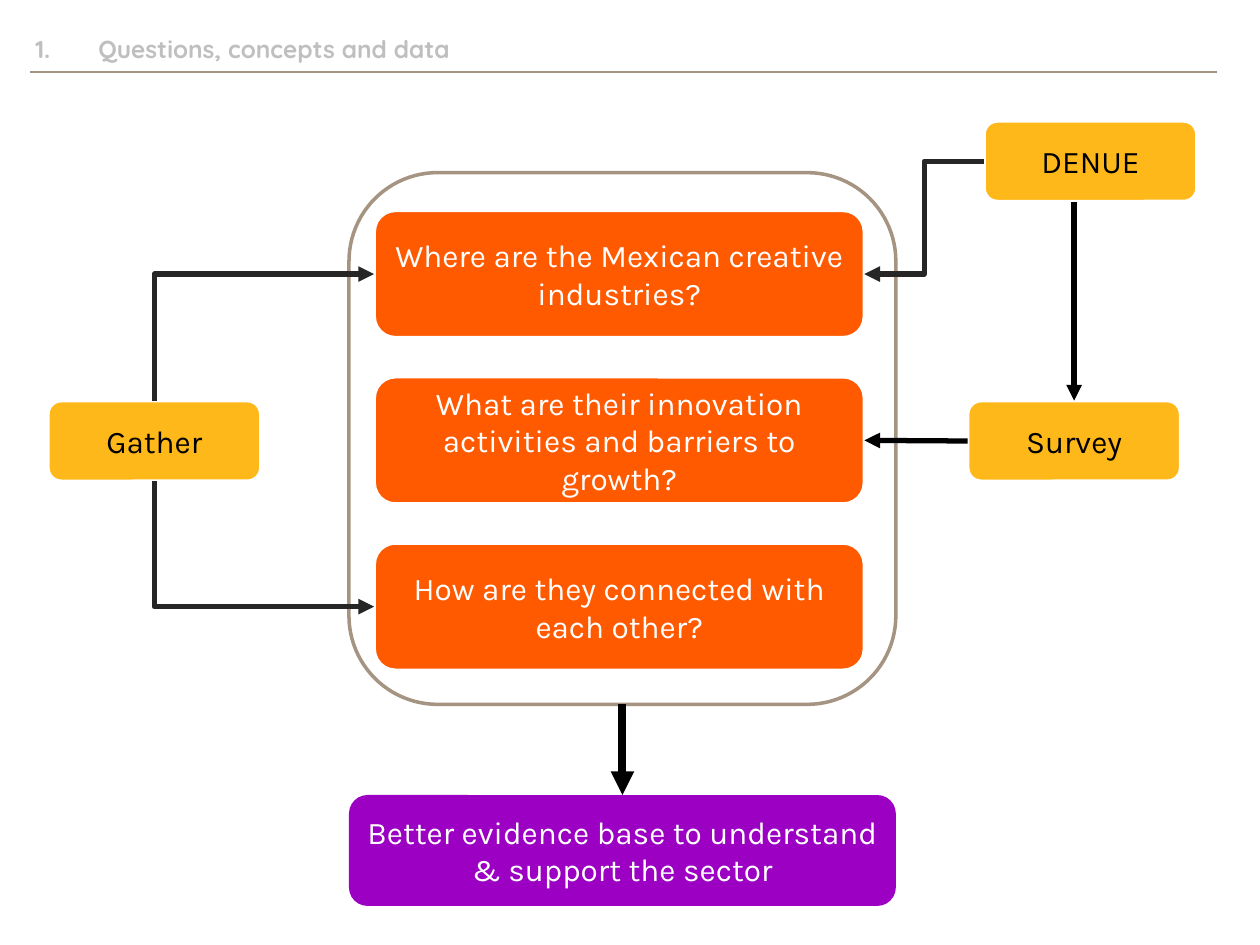
"""Build a slide that links data sources to research questions and their outcome."""
from pptx import Presentation
from pptx.dml.color import RGBColor
from pptx.enum.shapes import MSO_CONNECTOR, MSO_SHAPE
from pptx.enum.text import MSO_ANCHOR, MSO_AUTO_SIZE, PP_ALIGN
from pptx.oxml.ns import qn
from pptx.util import Inches, Pt
from lxml import etree

STRAIGHT, ELBOW = MSO_CONNECTOR.STRAIGHT, MSO_CONNECTOR.ELBOW
ROUNDED = MSO_SHAPE.ROUNDED_RECTANGLE
CENTER, LEFT, MIDDLE = PP_ALIGN.CENTER, PP_ALIGN.LEFT, MSO_ANCHOR.MIDDLE
TOP_SIDE, LEFT_SIDE, BOTTOM_SIDE, RIGHT_SIDE = range(4)
color = RGBColor.from_string

presentation = Presentation()
presentation.slide_width, presentation.slide_height = Inches(10), Inches(7.5)
column = presentation.slide_width / 100
row = presentation.slide_height / 75
slide = presentation.slides.add_slide(presentation.slide_layouts[5])


def add_box(left, top, width, height, fill, line=None, text="", text_color="FFFFFF"):
    """Add a rounded box, placed in grid columns and rows."""
    shape = slide.shapes.add_shape(
        ROUNDED, int(left * column), int(top * row), int(width * column), int(height * row))
    shape.shadow.inherit = False
    shape.fill.solid()
    shape.fill.fore_color.rgb = color(fill)
    if line:
        shape.line.color.rgb = color(line)
        shape.line.width = Pt(2)
    else:
        shape.line.fill.background()
    if text:
        shape.text_frame.word_wrap = True
        shape.text_frame.vertical_anchor = MIDDLE
        paragraph = shape.text_frame.paragraphs[0]
        paragraph.text = text
        paragraph.alignment = CENTER
        paragraph.font.name, paragraph.font.size = "Karla", Pt(18)
        paragraph.font.color.rgb = color(text_color)
    return shape


def add_line(kind, begin, end, line_color, width, arrow=None):
    """Add a connector between two points, with an optional headEnd or tailEnd arrow."""
    connector = slide.shapes.add_connector(kind, *map(int, begin), *map(int, end))
    connector.line.color.rgb = color(line_color)
    connector.line.width = Pt(width)
    if arrow:
        etree.SubElement(connector.line._get_or_add_ln(), qn(f"a:{arrow}"), type="triangle")
    etree.SubElement(connector._element.spPr, qn("a:effectLst"))
    return connector


title = slide.shapes.title
title.left, title.top = int(1.8 * column), int(2.1 * row)
title.width, title.height = int(94.8 * column), int(3.6 * row)
title.text_frame.vertical_anchor = MIDDLE
title.text_frame.auto_size = MSO_AUTO_SIZE.NONE
heading = title.text_frame.paragraphs[0]
heading.text = "Questions, concepts and data"
properties = heading._p.get_or_add_pPr()
properties.set("marL", str(Inches(0.5)))
properties.set("indent", str(-Inches(0.5)))
etree.SubElement(properties, qn("a:buFont"), typeface="+mj-lt")
etree.SubElement(properties, qn("a:buAutoNum"), type="arabicPeriod")
heading.alignment = LEFT
heading.font.name, heading.font.size, heading.font.bold = "Quicksand", Pt(14), True
heading.font.color.rgb = color("BFBFBF")
add_line(STRAIGHT, (2.4 * column, 5.7 * row), (96.6 * column, 5.7 * row), "A59482", 1)

frame = add_box(27.7, 13.7, 43.4, 42.2, "FFFFFF", "A59482")
questions = [
    add_box(29.7, 16.7 + 13.2 * index, 38.9, 10.1, "FF5A00", "FFFFFF", text)
    for index, text in enumerate([
        "Where are the Mexican creative industries?",
        "What are their innovation activities and barriers to growth?",
        "How are they connected with each other?",
    ])
]
denue, survey, gather = [
    add_box(left, top, 16.9, 6.4, "FFB819", "FFFFFF", text, "000000")
    for left, top, text in [(78.1, 9.6, "DENUE"), (76.8, 31.8, "Survey"), (3.8, 31.8, "Gather")]
]
outcome = add_box(27.7, 63.1, 43.4, 8.8, "9B00C3", text="Better evidence base to understand & support the sector")

for source, source_side, target, target_side, width in [
    (frame, BOTTOM_SIDE, outcome, TOP_SIDE, 4.5),
    (survey, LEFT_SIDE, questions[1], RIGHT_SIDE, 3),
]:
    connector = add_line(STRAIGHT, (0, 0), (0, 0), "000000", width, "tailEnd")
    connector.begin_connect(source, source_side)
    connector.end_connect(target, target_side)

survey_center = survey.left + survey.width / 2
survey_arrow = add_line(STRAIGHT, (survey_center, denue.top + denue.height),
                        (survey_center, survey.top), "000000", 3, "tailEnd")
survey_arrow.end_connect(survey, TOP_SIDE)

first = questions[0]
add_line(ELBOW, (denue.left, denue.top + denue.height / 2),
         (first.left + first.width, first.top + first.height / 2), "262626", 3, "tailEnd")

for question, gather_edge in [(questions[2], gather.top + gather.height), (first, gather.top)]:
    bend = add_line(ELBOW, (question.left, question.top + question.height / 2),
                    (gather.left + gather.width / 2, gather_edge), "262626", 3, "headEnd")
    bend._element.spPr.find(qn("a:prstGeom")).set("prst", "bentConnector2")

presentation.save("out.pptx")
